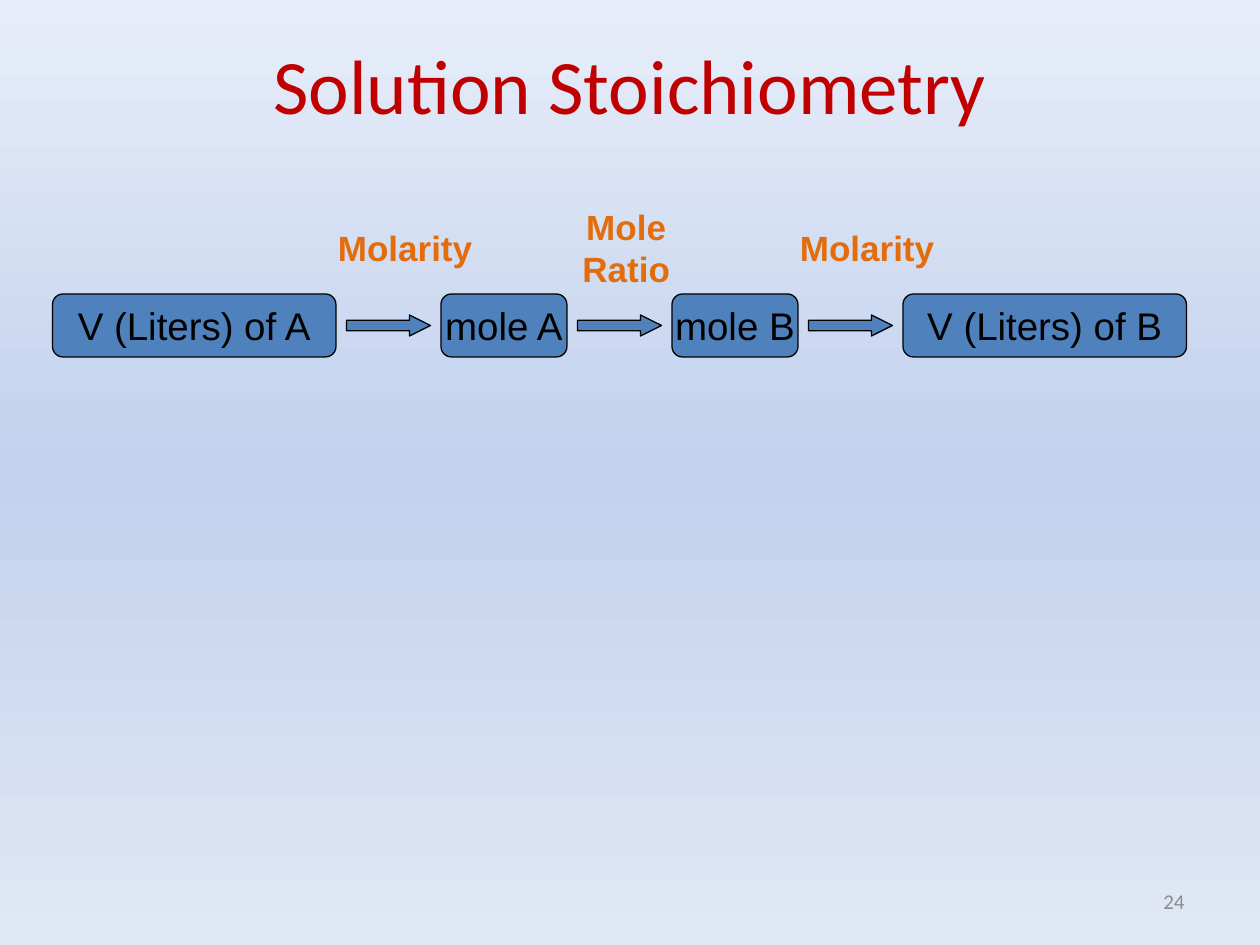
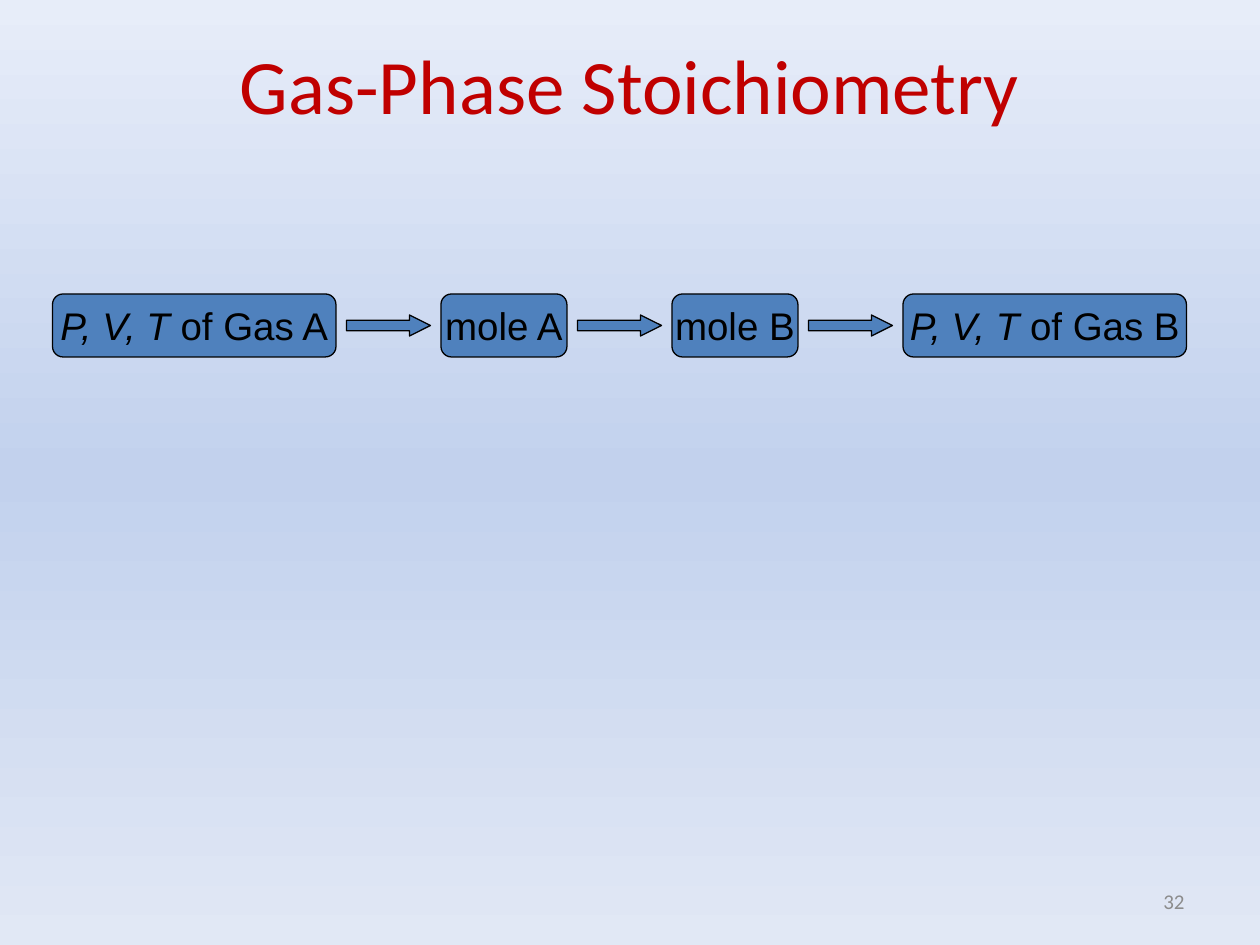
from copy import deepcopy

from pptx import Presentation
from pptx.dml.color import RGBColor
from pptx.enum import shapes, text
from pptx.oxml.ns import qn
from pptx.util import Pt

# Content: box labels are lists of (words, italic) pieces
SLIDES = [
    {
        "title": "Solution Stoichiometry",
        "number": "24",
        "steps": [[("V (Liters) of A", False)], [("mole A", False)],
                  [("mole B", False)], [("V (Liters) of B", False)]],
        "conversions": ["Molarity", "Mole Ratio", "Molarity"],
    },
    {
        "title": "Gas-Phase Stoichiometry",
        "number": "32",
        "steps": [[("P, V, T", True), (" of Gas A", False)], [("mole A", False)],
                  [("mole B", False)], [("P, V, T", True), (" of Gas B", False)]],
        "conversions": [],
    },
]

# Shared look
BACKDROP = [(0, "E7EDF9"), (0.5, "C2D1ED"), (1, "E1E8F5")]
RED, BLUE, BLACK, ORANGE, GREY = "C00000", "4F81BD", "000000", "E46C0A", "8C8C8C"
STEP_WIDTHS = [162, 72, 72, 162]
FLOW_LEFT, FLOW_TOP, STEP_HEIGHT = 30, 168, 36
STEP_GAP, ARROW_MARGIN, ARROW_HEIGHT = 60, 6, 12
# Conversion label: offset from its arrow, top, width, height, wraps
LABEL_PLACES = {
    "Molarity": (-12, 126, 91.5, 31.5, False),
    "Mole Ratio": (-6, 114, 67.7, 55.5, True),
}
LEFT, CENTER, RIGHT = text.PP_ALIGN.LEFT, text.PP_ALIGN.CENTER, text.PP_ALIGN.RIGHT
TOP, MIDDLE = text.MSO_ANCHOR.TOP, text.MSO_ANCHOR.MIDDLE


def rgb(color):
    return RGBColor.from_string(color)


def write(holder, pieces, size, font, color, align=CENTER, anchor=MIDDLE,
          wrap=True, bold=False):
    frame = holder.text_frame
    frame.word_wrap = wrap
    frame.vertical_anchor = anchor
    line = frame.paragraphs[0]
    line.alignment = align
    for words, italic in pieces:
        run = line.add_run()
        run.text = words
        run.font.size, run.font.name = Pt(size), font
        run.font.bold, run.font.italic = bold, italic
        run.font.color.rgb = rgb(color)


def add_text(slide, place, words, *style, **options):
    holder = slide.shapes.add_textbox(*map(Pt, place))
    write(holder, [(words, False)], *style, **options)


def add_block(slide, kind, place, adjustments):
    block = slide.shapes.add_shape(kind, *map(Pt, place))
    for i, value in enumerate(adjustments):
        block.adjustments[i] = value
    block.shadow.inherit = False
    block.fill.solid()
    block.fill.fore_color.rgb = rgb(BLUE)
    block.line.color.rgb = rgb(BLACK)
    block.line.width = Pt(0.75)
    return block


def paint_backdrop(slide):
    fill = slide.background.fill
    fill.gradient()
    fill.gradient_angle = 270  # top to bottom
    stop_list = next(slide.element.iter(qn("a:gsLst")))
    stop_list.append(deepcopy(stop_list[-1]))
    for stop, (position, color) in zip(fill.gradient_stops, BACKDROP):
        stop.position = position
        stop.color.rgb = rgb(color)


def add_flow(slide, steps, conversions):
    left = FLOW_LEFT
    arrow_lefts = []
    for i, (step, width) in enumerate(zip(steps, STEP_WIDTHS)):
        box = add_block(slide, shapes.MSO_SHAPE.ROUNDED_RECTANGLE,
                        (left, FLOW_TOP, width, STEP_HEIGHT), [0.167])
        write(box, step, 22, "Arial", BLACK, wrap=False)
        left += width
        if i < len(steps) - 1:
            arrow_left = left + ARROW_MARGIN
            add_block(slide, shapes.MSO_SHAPE.RIGHT_ARROW,
                      (arrow_left, FLOW_TOP + (STEP_HEIGHT - ARROW_HEIGHT) / 2,
                       STEP_GAP - 2 * ARROW_MARGIN, ARROW_HEIGHT), [0.5, 1])
            arrow_lefts.append(arrow_left)
        left += STEP_GAP

    # Conversion labels above the arrows
    for conversion, arrow_left in zip(conversions, arrow_lefts):
        offset, top, width, height, wrap = LABEL_PLACES[conversion]
        add_text(slide, (arrow_left + offset, top, width, height), conversion,
                 20, "Arial", ORANGE, align=CENTER if wrap else LEFT,
                 anchor=TOP, wrap=wrap, bold=True)


def main():
    deck = Presentation()
    deck.slide_width, deck.slide_height = Pt(720), Pt(540)
    for content in SLIDES:
        slide = deck.slides.add_slide(deck.slide_layouts[6])
        paint_backdrop(slide)
        add_text(slide, (516, 500.5, 168, 28.75), content["number"],
                 12, "Calibri", GREY, align=RIGHT)
        add_text(slide, (54, 18, 612, 60), content["title"], 44, "Calibri", RED)
        add_flow(slide, content["steps"], content["conversions"])
    deck.save("out.pptx")


if __name__ == "__main__":
    main()
